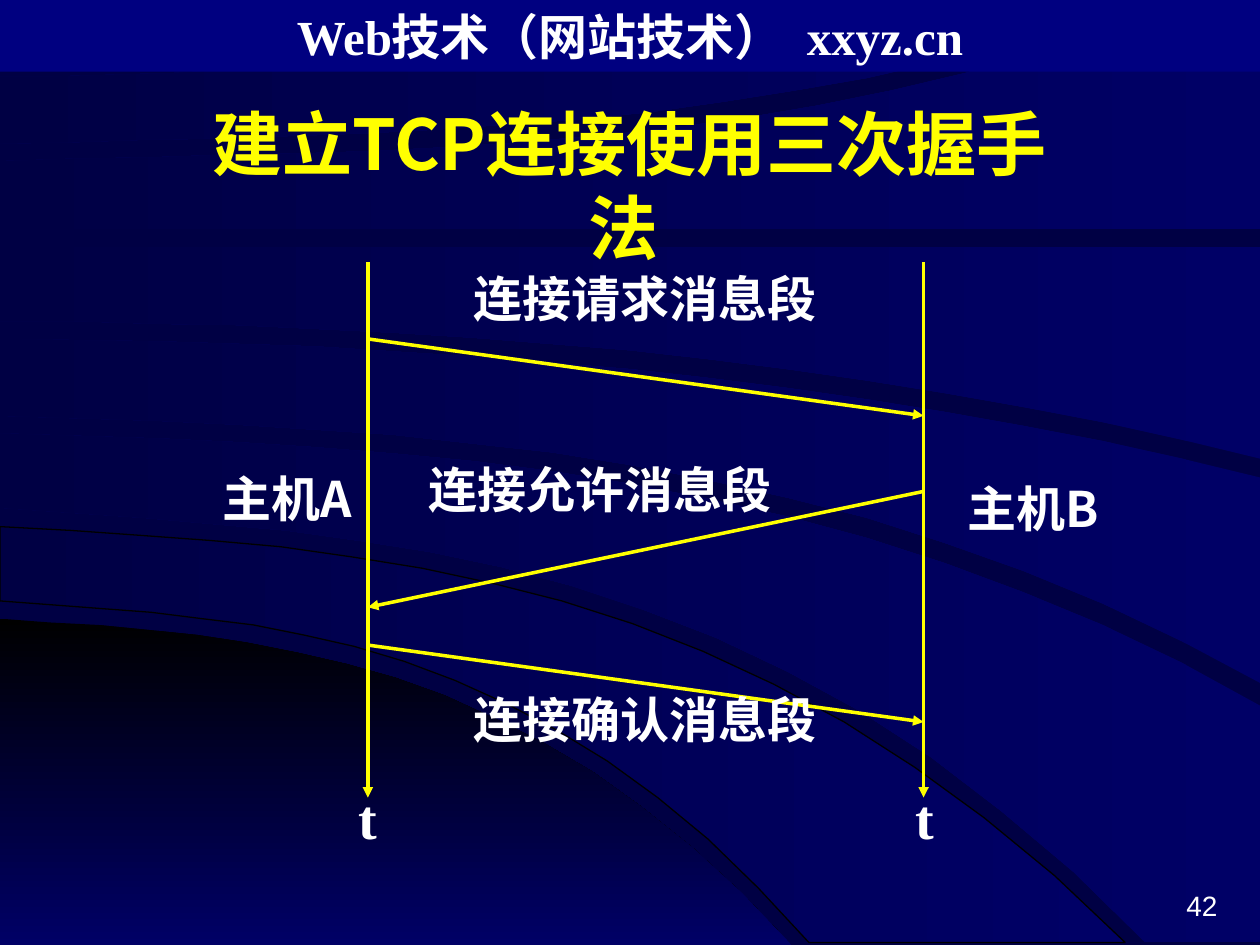
"""Slide on the TCP three-way handshake, laid out on a 1000 by 750 px grid."""
from math import prod

from lxml import etree
from pptx import Presentation
from pptx.dml.color import RGBColor
from pptx.enum.shapes import MSO_CONNECTOR, MSO_SHAPE
from pptx.enum.text import MSO_ANCHOR, MSO_AUTO_SIZE, PP_ALIGN
from pptx.oxml.ns import qn
from pptx.util import Pt

PX = 9144
WIDE, HIGH = 1000, 750
STEPS = 16
LINE, RECT = MSO_CONNECTOR.STRAIGHT, MSO_SHAPE.RECTANGLE
TOP = MSO_ANCHOR.TOP
GROW, FIXED = MSO_AUTO_SIZE.SHAPE_TO_FIT_TEXT, MSO_AUTO_SIZE.NONE
LEFT, MID, RIGHT, EVEN = PP_ALIGN.LEFT, PP_ALIGN.CENTER, PP_ALIGN.RIGHT, PP_ALIGN.JUSTIFY
SERIF, SANS, PLAIN = "Times New Roman", "Noto Sans CJK SC", "Arial"

HEX = {"night": "000044", "blue": "000066", "navy": "000080",
       "black": "000000", "white": "FFFFFF", "gold": "FFFF00"}

FADE = ("blue", "night", 180)
HILL = ("black", "blue", 270)
BANDS = [
    (HILL, None, [(0, 491), (218, 514), (425, 586), (628, 750)], [], [(0, 750), (628, 750)]),
    (FADE, "black", [(0, 418), (294, 444), (606, 539), (893, 748)], [],
     [(0, 477), (221, 500), (416, 565), (642, 748)]),
    (FADE, None, [(0, 344), (343, 363), (656, 418), (1000, 560)], [(1000, 748)],
     [(0, 403), (311, 433), (597, 519), (909, 748)]),
    (FADE, None, [(0, 269), (349, 281), (662, 313), (1000, 379)], [],
     [(0, 330), (351, 349), (683, 410), (1000, 542)]),
    (FADE, None, [(0, 196), (1000, 196)], [], [(0, 255), (332, 265), (662, 298), (1000, 364)]),
    (FADE, None, [(0, 128), (329, 118), (644, 85), (943, -2)], [(1000, -2)],
     [(0, 182), (1000, 182)]),
    (FADE, None, [(0, 61), (197, 55), (383, 35), (556, -2)], [],
     [(0, 114), (309, 105), (614, 75), (917, -2)]),
    (FADE, None, [(0, -2), (501, -2)], [], [(0, 47), (173, 43), (346, 25), (501, -2)]),
]

HOST_A, HOST_B = 292, 733
ARROWS = [(host, 208, host, 633) for host in (HOST_A, HOST_B)] + [
    (HOST_A, 269, HOST_B, 330), (HOST_B, 390, HOST_A, 482), (HOST_A, 512, HOST_B, 573)]

HEAD = ((0, 0, WIDE, 57), MID, GROW, "white", True,
        [("Web技术（网站技术）", 28, SERIF, 0), (" ", 28, SERIF, 700), ("xxyz.cn", 28, SERIF, 0)])
TEXTS = [
    ((133, 75, 733, 144), MID, GROW, "gold", True,
     [("建立TCP连接使用三次握手法", 40, SANS, 0), (" ", 28, SERIF, 0)]),
    ((167, 367, 142, 57), LEFT, GROW, "white", True, [("主机A", 28, SANS, 0)]),
    ((758, 375, 142, 57), LEFT, GROW, "white", True, [("主机B", 28, SANS, 0)]),
    ((768, 700, 208, 50), RIGHT, FIXED, "white", False, [("42", 16, PLAIN, 0)]),
]
TEXTS += [((x, y, 368, 91), MID, FIXED, "white", True, [(word, 28, SERIF, 0)])
          for x, y, word in [(328, 208, "连接请求消息段"), (292, 360, "连接允许消息段"),
                             (328, 542, "连接确认消息段")]]
TEXTS += [((x, 617, 67, 75), EVEN, FIXED, "white", True, [("t", 32, SERIF, 0)])
          for x in (275, 717)]


def tint(name):
    return RGBColor.from_string(HEX[name])


def scale(*nums):
    return [num * PX for num in nums]


def put(item, **vals):
    for key, val in vals.items():
        setattr(item, key, val)


def curve(knots):
    """Return points on the polynomial through the knots."""
    dots = []
    for step in range(STEPS + 1):
        x = knots[-1][0] * step / STEPS
        y = sum(b * prod((x - c) / (a - c) for c, _ in knots if c != a) for a, b in knots)
        dots.append((x, y))
    return dots


def band(shapes, fade, edge, upper, corner, lower):
    dots = curve(upper) + corner + curve(lower)[::-1]
    form = shapes.build_freeform(*dots[0], scale=PX)
    shape = form.add_line_segments(dots[1:]).convert_to_shape()
    shape.shadow.inherit = False
    shape.fill.gradient()
    shape.fill.gradient_angle = fade[2]
    for stop, name in zip(shape.fill.gradient_stops, fade):
        stop.color.rgb = tint(name)
    if edge:
        shape.line.color.rgb = tint(edge)
        shape.line.width = Pt(0.75)
    else:
        shape.line.fill.background()


def arrow(shapes, ends):
    link = shapes.add_connector(LINE, *scale(*ends))
    link.line.color.rgb = tint("gold")
    link.line.width = 0
    stroke = link._element.spPr.find(qn("a:ln"))
    etree.SubElement(stroke, qn("a:tailEnd"), type="triangle")
    etree.SubElement(link._element.spPr, qn("a:effectLst"))


def write(shape, align, size, color, bold, runs):
    frame = shape.text_frame
    put(frame, word_wrap=True, auto_size=size, vertical_anchor=TOP)
    para = frame.paragraphs[0]
    para.alignment = align
    for text, points, face, gap in runs:
        run = para.add_run()
        run.text = text
        put(run.font, size=Pt(points), name=face, bold=bold)
        run.font.color.rgb = tint(color)
        props = run._r.get_or_add_rPr()
        etree.SubElement(props, qn("a:ea"), typeface=SANS)
        if gap:
            props.set("spc", str(gap))


def main():
    deck = Presentation()
    put(deck, slide_width=WIDE * PX, slide_height=HIGH * PX)
    slide = deck.slides.add_slide(deck.slide_layouts[6])
    slide.background.fill.solid()
    slide.background.fill.fore_color.rgb = tint("night")
    shapes = slide.shapes
    for row in BANDS:
        band(shapes, *row)
    bar = shapes.add_shape(RECT, *scale(*HEAD[0]))
    bar.shadow.inherit = False
    bar.fill.solid()
    bar.fill.fore_color.rgb = tint("navy")
    bar.line.fill.background()
    write(bar, *HEAD[1:])
    for ends in ARROWS:
        arrow(shapes, ends)
    for place, *style in TEXTS:
        write(shapes.add_textbox(*scale(*place)), *style)
    deck.save("out.pptx")


if __name__ == "__main__":
    main()
